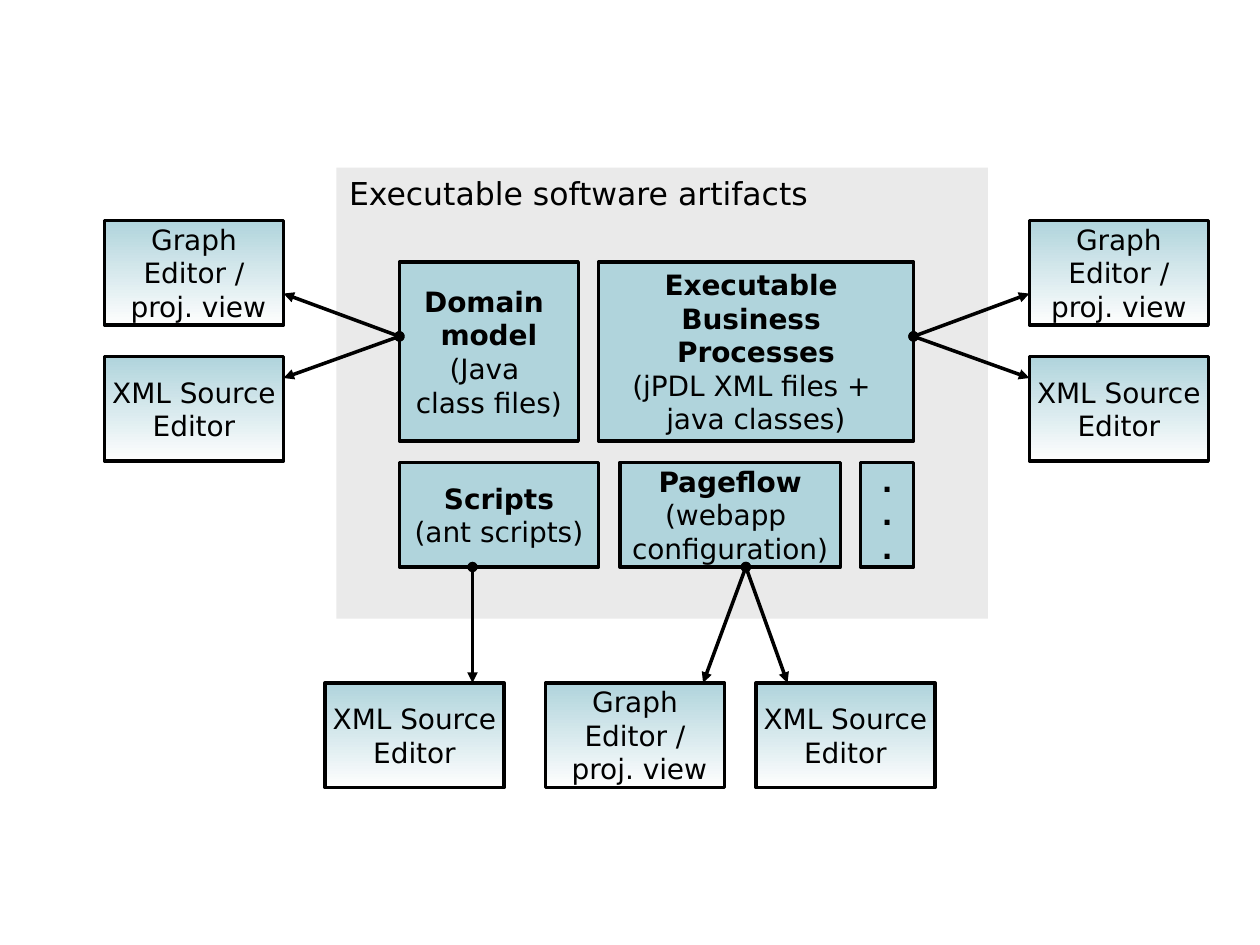
"""Build a slide that maps executable software artifacts to their editors."""
from lxml.etree import SubElement as Sub
from pptx import Presentation
from pptx.dml.color import RGBColor as Rgb
from pptx.enum.shapes import MSO_CONNECTOR as Link, MSO_SHAPE as Kind
from pptx.enum.text import MSO_ANCHOR as Anchor, MSO_AUTO_SIZE as Fit, PP_ALIGN as Align
from pptx.oxml.ns import qn
from pptx.util import Inches, Pt

THEME = {
    "font": "DejaVu Sans", "head": 18, "body": 16, "line": 2,
    "ink": Rgb.from_string("000000"), "panel": Rgb.from_string("EAEAEA"),
    "box": Rgb.from_string("B0D4DC"), "fade": Rgb.from_string("FEFEFE"),
}

TITLE = "Executable software artifacts"
PANEL = (2.67, 1.33, 5.17, 3.58)

TOP, LOW = (2.08, 1.42), (3.67, 0.83)
PARTS = [
    (3.17, 1.42, TOP, ["Domain ", "model"], ["(Java ", "class files)"]),
    (3.17, 1.58, LOW, ["Scripts"], ["(ant scripts)"]),
    (4.75, 2.5, TOP, ["Executable ", "Business ", "Processes"],
     ["(jPDL XML files + ", "java classes)"]),
    (4.92, 1.75, LOW, ["Pageflow"], ["(webapp ", "configuration)"]),
    (6.83, 0.42, LOW, [".", ".", "."], []),
]

VIEW, VIEW_IN = "Graph\vEditor /\vproj. view", "Graph\vEditor /\v proj. view"
XML = "XML Source\vEditor"
SIZE = (1.42, 0.83)
TOOLS = [
    (8.17, 1.75, VIEW), (8.17, 2.83, XML),
    (0.83, 1.75, VIEW_IN), (0.83, 2.83, XML),
    (4.33, 5.42, VIEW_IN), (6, 5.42, XML), (2.58, 5.42, XML),
]

ARROWS = [
    ((7.25, 2.67), [(8.17, 2.33), (8.17, 3)]),
    ((3.17, 2.67), [(2.25, 2.33), (2.25, 3)]),
    ((5.92, 4.5), [(6.25, 5.42), (5.58, 5.42)]),
    ((3.75, 4.5), [(3.75, 5.42)]),
]


def write(shape, lines, bold=0, size=THEME["body"], align=Align.CENTER, anchor=Anchor.MIDDLE):
    frame = shape.text_frame
    frame.auto_size, frame.word_wrap = Fit.NONE, False
    frame.vertical_anchor = anchor
    frame.text = "\n".join(lines)
    for i, para in enumerate(frame.paragraphs):
        para.alignment = align
        for run in para.runs:
            font = run.font
            font.name, font.size, font.bold = THEME["font"], Pt(size), i < bold
            font.color.rgb = THEME["ink"]


def paint(shape, color):
    shape.fill.solid()
    shape.fill.fore_color.rgb = color


def stroke(item):
    item.line.color.rgb = THEME["ink"]
    item.line.width = Pt(THEME["line"])


def add_box(slide, area, lines, bold=0, fade=False):
    box = slide.shapes.add_shape(Kind.RECTANGLE, *map(Inches, area))
    box.shadow.inherit = False
    stroke(box)
    if fade:
        box.fill.gradient()
        box.fill.gradient_angle = 270
        for stop, tone in zip(box.fill.gradient_stops, ("box", "fade")):
            stop.color.rgb = THEME[tone]
    else:
        paint(box, THEME["box"])
    write(box, lines, bold=bold)


def add_arrow(slide, start, end):
    arrow = slide.shapes.add_connector(Link.STRAIGHT, *map(Inches, start + end))
    stroke(arrow)
    line = arrow.line._get_or_add_ln()
    Sub(line, qn("a:headEnd"), type="oval")
    Sub(line, qn("a:tailEnd"), type="triangle")
    Sub(arrow._element.spPr, qn("a:effectLst"))


def main():
    deck = Presentation()
    deck.slide_width, deck.slide_height = Inches(10), Inches(7.5)
    slide = deck.slides.add_slide(deck.slide_layouts[5])

    panel = slide.shapes.title
    panel.left, panel.top, panel.width, panel.height = map(Inches, PANEL)
    paint(panel, THEME["panel"])
    write(panel, [TITLE], size=THEME["head"], align=Align.LEFT, anchor=Anchor.TOP)

    for left, width, (top, height), name, note in PARTS:
        add_box(slide, (left, top, width, height), name + note, bold=len(name))
    for left, top, label in TOOLS:
        add_box(slide, (left, top, *SIZE), [label], fade=True)
    for start, ends in ARROWS:
        for end in ends:
            add_arrow(slide, start, end)

    deck.save("out.pptx")


if __name__ == "__main__":
    main()
